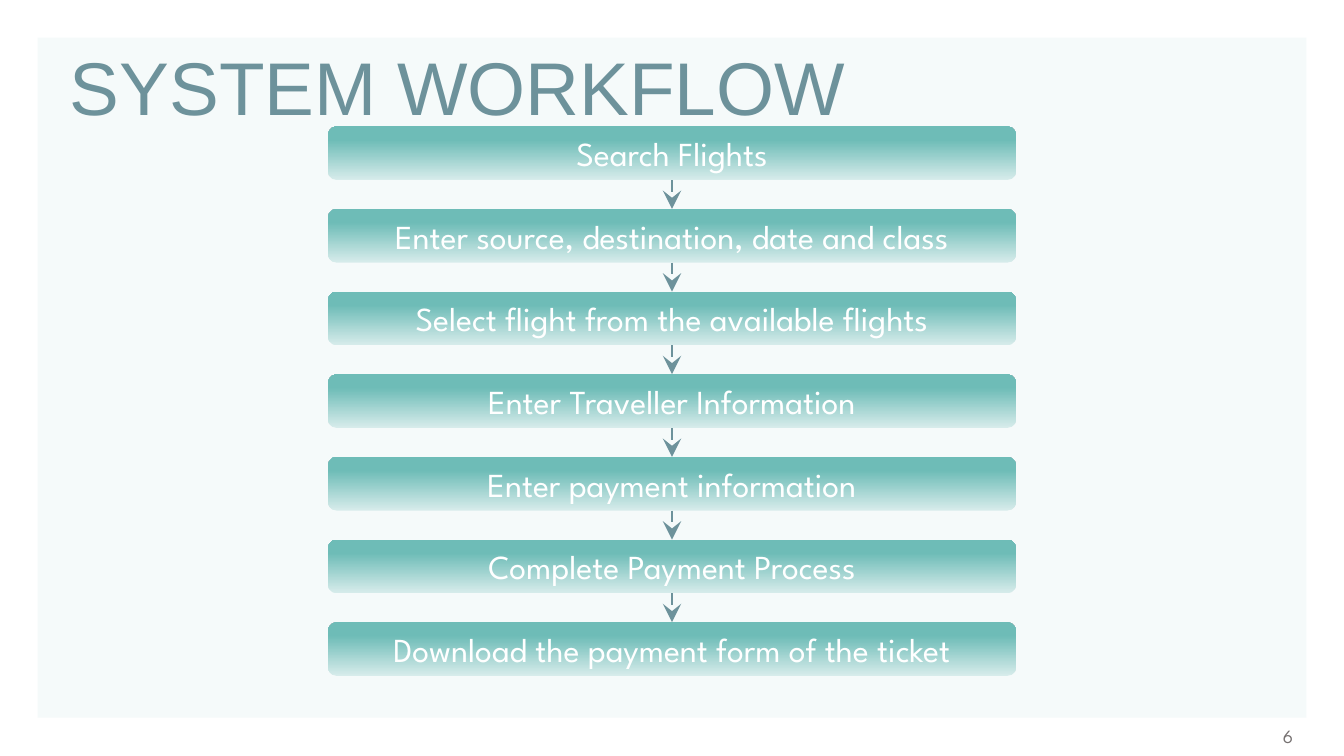
import pptx
import pptx.util
import pptx.dml.color
import pptx.enum.shapes
import pptx.enum.text
import pptx.oxml
import pptx.oxml.ns
from dataclasses import dataclass

Inches = pptx.util.Inches
RGB = pptx.dml.color.RGBColor.from_string
SHAPE = pptx.enum.shapes.MSO_SHAPE
ALIGN = pptx.enum.text.PP_ALIGN


@dataclass(frozen=True)
class Theme:
    panel: str = "F5FAFA"
    accent: str = "6D929B"
    step_light: str = "D7ECEB"
    step_dark: str = "6EBCB7"
    step_text: str = "FFFFFF"
    number: str = "767171"
    title_font: str = "Arial"
    body_font: str = "League Spartan"
    title_size: int = 40
    step_size: int = 18
    number_size: int = 10


theme = Theme()

STEPS = [
    "Search Flights",
    "Enter source, destination, date and class",
    "Select flight from the available flights",
    "Enter Traveller Information",
    "Enter payment information",
    "Complete Payment Process",
    "Download the payment form of the ticket",
]
STEP_LEFT, STEP_TOP, STEP_WIDTH, STEP_HEIGHT = 2.44, 0.94, 5.12, 0.4
LAST_TOP = 4.63
PITCH = (LAST_TOP - STEP_TOP) / (len(STEPS) - 1)
CENTER = STEP_LEFT + STEP_WIDTH / 2


def put_text(sp, text, align, name, size, color):
    tf = sp.text_frame
    tf.word_wrap = True
    tf.auto_size = pptx.enum.text.MSO_AUTO_SIZE.NONE
    tf.vertical_anchor = pptx.enum.text.MSO_ANCHOR.MIDDLE
    p = tf.paragraphs[0]
    p.alignment = align
    r = p.add_run()
    r.text = text
    font = {"name": name, "size": pptx.util.Pt(size), "bold": False}
    for key, value in font.items():
        setattr(r.font, key, value)
    r.font.color.rgb = RGB(color)


prs = pptx.Presentation()
prs.slide_width, prs.slide_height = Inches(10), Inches(10 * 9 / 16)
s = prs.slides.add_slide(prs.slide_layouts[5])

# Background panel, kept behind the title
panel = s.shapes.add_shape(SHAPE.RECTANGLE, Inches(0.28), Inches(0.28), Inches(9.44), Inches(5.06))
panel.shadow.inherit = False
panel.fill.solid()
panel.fill.fore_color.rgb = RGB(theme.panel)
panel.line.fill.background()
s.shapes.title.element.addprevious(panel.element)

# Title and slide number
title = s.shapes.title
title_box = {"left": 0.42, "top": 0.35, "width": 8.12, "height": 0.58}
for key, value in title_box.items():
    setattr(title, key, Inches(value))
put_text(title, "SYSTEM WORKFLOW", ALIGN.LEFT, theme.title_font, theme.title_size, theme.accent)

number = s.shapes.add_textbox(Inches(9.06), Inches(5.33), Inches(0.66), Inches(0.3))
put_text(number, "6", ALIGN.RIGHT, theme.body_font, theme.number_size, theme.number)

# Workflow steps
for i, step in enumerate(STEPS):
    sp = s.shapes.add_shape(SHAPE.ROUNDED_RECTANGLE, Inches(STEP_LEFT), Inches(STEP_TOP + i * PITCH),
                            Inches(STEP_WIDTH), Inches(STEP_HEIGHT))
    sp.shadow.inherit = False
    sp.line.fill.background()
    sp.fill.gradient()
    sp.fill.gradient_angle = 90
    stops = [(0, theme.step_light), (0.75, theme.step_dark)]
    for stop, (position, color) in zip(sp.fill.gradient_stops, stops):
        stop.position = position
        stop.color.rgb = RGB(color)
    put_text(sp, step, ALIGN.CENTER, theme.body_font, theme.step_size, theme.step_text)

# Arrows between neighbouring steps
for i in range(len(STEPS) - 1):
    start = STEP_TOP + i * PITCH + STEP_HEIGHT
    end = STEP_TOP + (i + 1) * PITCH
    arrow = s.shapes.add_connector(pptx.enum.shapes.MSO_CONNECTOR.STRAIGHT,
                                   Inches(CENTER), Inches(start), Inches(CENTER), Inches(end))
    arrow.line.color.rgb = RGB(theme.accent)
    arrow.line.width = pptx.util.Pt(1)
    head = pptx.oxml.parse_xml(
        f'<a:tailEnd {pptx.oxml.ns.nsdecls("a")} type="stealth" w="lg" len="lg"/>')
    arrow.line._get_or_add_ln().append(head)
    arrow.element.spPr.append(pptx.oxml.parse_xml(f'<a:effectLst {pptx.oxml.ns.nsdecls("a")}/>'))

prs.save("out.pptx")
